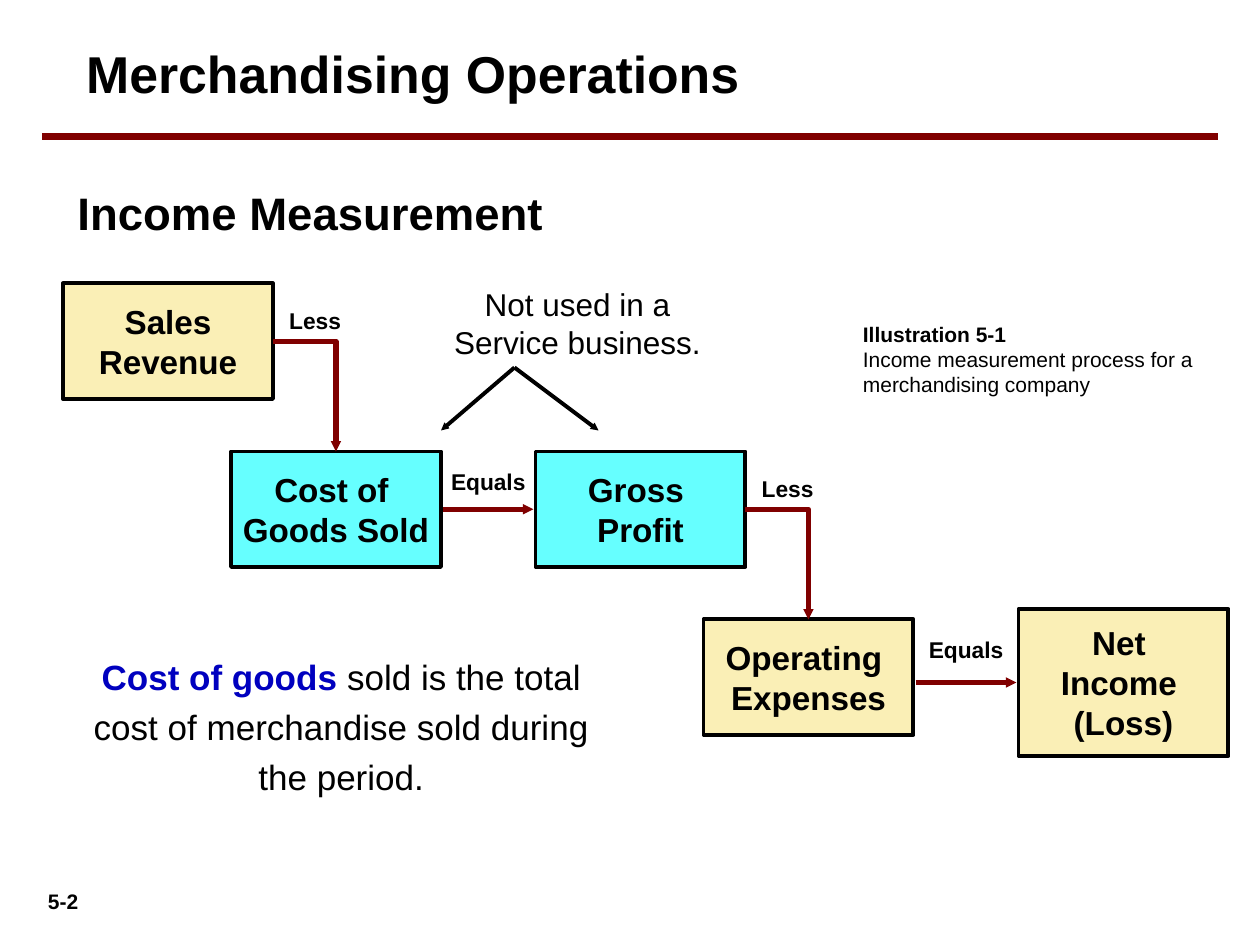
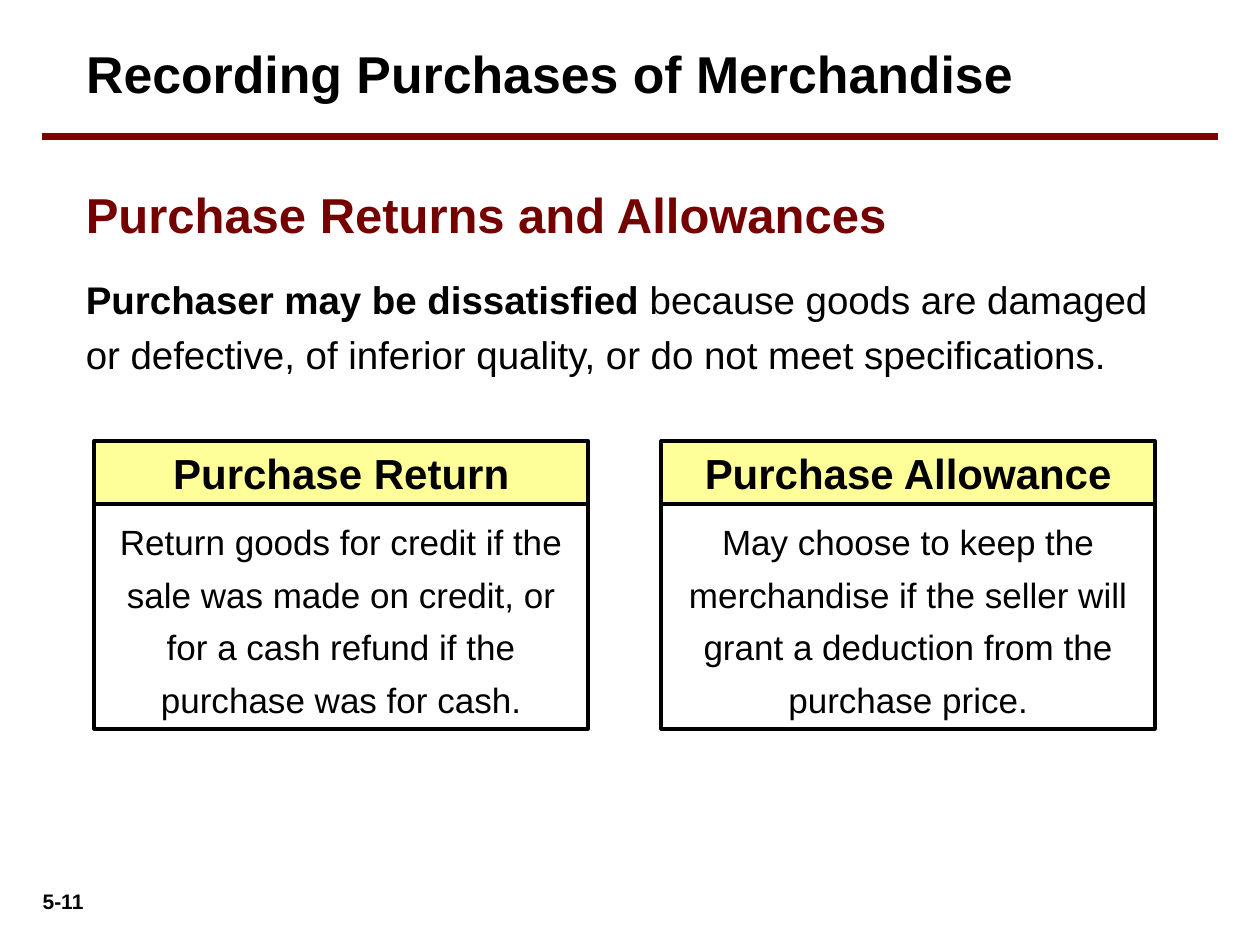
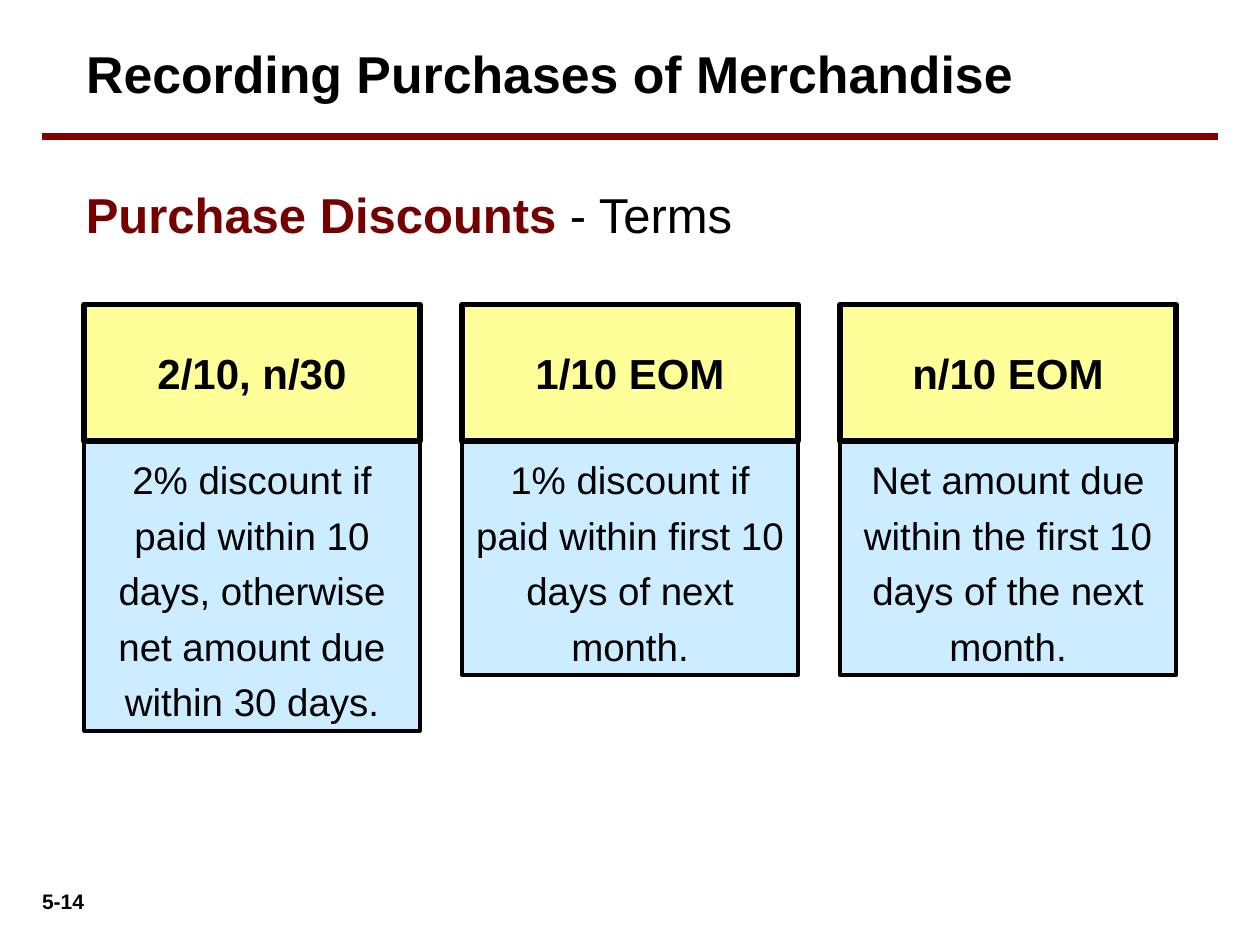
from lxml import etree
from pptx import Presentation
from pptx.dml.color import RGBColor
from pptx.enum.shapes import MSO_CONNECTOR, MSO_SHAPE
from pptx.enum.text import MSO_ANCHOR, MSO_AUTO_SIZE, PP_ALIGN
from pptx.oxml.ns import qn
from pptx.util import Inches, Pt

RECT = MSO_SHAPE.RECTANGLE
LINE, ELBOW = MSO_CONNECTOR.STRAIGHT, MSO_CONNECTOR.ELBOW
LEFT, CENTER = PP_ALIGN.LEFT, PP_ALIGN.CENTER
TOP, MIDDLE = MSO_ANCHOR.TOP, MSO_ANCHOR.MIDDLE
FIXED = MSO_AUTO_SIZE.NONE

COLORS = {
    "ink": "000000", "paper": "FFFFFF", "rule": "800000", "topic": "740000",
    "term": "0000BF", "cream": "FAEFB6", "aqua": "66FFFF",
    "yellow": "FFFF99", "sky": "CCECFF",
}
FONT = "Arial"
COLS, ROWS = 120, 90  # grid over the whole slide
WIDTH, HEIGHT = Inches(10), Inches(7.5)
TOP_SIDE, RIGHT_SIDE = 0, 3  # connection sites of a rectangle


def color(name):
    return RGBColor.from_string(COLORS[name])


def place(x, y):
    """Turn a grid point into slide lengths."""
    return round(WIDTH * x / COLS), round(HEIGHT * y / ROWS)


def area(x, y, w, h):
    return place(x, y) + place(w, h)


def run(text, bold=False, ink="ink"):
    return text, bold, ink


def write(shape, paras, size, align=LEFT, anchor=TOP, space=None, wrap=True):
    """Fill a shape with paragraphs, each a list of runs."""
    frame = shape.text_frame
    frame.auto_size = FIXED
    frame.word_wrap = wrap
    frame.vertical_anchor = anchor
    frame.margin_left = frame.margin_right = Inches(0.1)
    frame.margin_top = frame.margin_bottom = Inches(0.05)
    for i, runs in enumerate(paras):
        para = frame.add_paragraph() if i else frame.paragraphs[0]
        para.alignment = align
        if space:
            para.line_spacing = space
        for text, bold, ink in runs:
            part = para.add_run()
            part.text = text
            font = part.font
            font.name, font.size, font.bold = FONT, Pt(size), bold
            font.color.rgb = color(ink)


def label(slide, box, paras, size, **style):
    write(slide.shapes.add_textbox(*area(*box)), paras, size, **style)


def panel(slide, box, fill, paras, size, edge=2.25, **style):
    """Add an outlined rectangle with centred text."""
    shape = slide.shapes.add_shape(RECT, *area(*box))
    shape.shadow.inherit = False
    if fill:
        shape.fill.solid()
        shape.fill.fore_color.rgb = color(fill)
    else:
        shape.fill.background()
    shape.line.color.rgb = color("ink")
    shape.line.width = Pt(edge)
    write(shape, paras, size, align=CENTER, **style)
    return shape


def stroke(slide, start, end, ink, width, kind=LINE, head=True):
    line = slide.shapes.add_connector(kind, *place(*start), *place(*end))
    line.line.color.rgb = color(ink)
    line.line.width = Pt(width)
    if head:
        etree.SubElement(line.line._get_or_add_ln(), qn("a:tailEnd"),
                         type="triangle", w="sm", len="sm")
    etree.SubElement(line._element.spPr, qn("a:effectLst"))
    return line


def bend(slide, first, last):
    """Lead from the right of one box down onto the top of another."""
    line = stroke(slide, (0, 0), (1, 1), "rule", 3, ELBOW)
    line.begin_connect(first, RIGHT_SIDE)
    line.end_connect(last, TOP_SIDE)
    line._element.spPr.find(qn("a:prstGeom")).set("prst", "bentConnector2")


def start(deck, title, number):
    """Add a slide with its title, rule and page number."""
    slide = deck.slides.add_slide(deck.slide_layouts[5])
    head = slide.shapes.title
    head.left, head.top, head.width, head.height = area(7, 4, 100, 7.3)
    write(head, [[run(title, True)]], 29.6, space=0.9)
    stroke(slide, (4, 13), (116, 13), "rule", 4.5, head=False)
    label(slide, (1, 84, 10, 3.6), [[run(number, True)]], 12, align=CENTER)
    return slide


def topic(slide, *runs):
    label(slide, (7, 17, 90, 6.8), [runs], 28)


def income(deck):
    slide = start(deck, "Merchandising Operations", "5-2")
    label(slide, (6.2, 17, 74, 7), [[run("Income Measurement", True)]], 26)
    label(slide, (7, 61, 51, 15.6),
          [[run("Cost of goods ", True, "term"),
            run("sold is the total cost of merchandise sold during the period.")]],
          20, align=CENTER, space=1.2)
    label(slide, (40, 26.6, 30, 8.4),
          [[run("Not used in a Service business.")]], 18, align=CENTER)
    label(slide, (81, 30, 34, 8.4),
          [[run("Illustration 5-1", True)],
           [run("Income measurement process for a merchandising company")]], 12)
    for x in (42, 57):
        stroke(slide, (49, 35), (x, 41), "ink", 2.25)

    steps = [
        (6, 27, 11, "cream", ("Sales", "Revenue")),
        (22, 43, 11, "aqua", ("Cost of ", "Goods Sold")),
        (51, 43, 11, "aqua", ("Gross ", "Profit")),
        (67, 59, 11, "cream", ("Operating ", "Expenses")),
        (97, 58, 14, "cream", ("Net ", "Income ", "(Loss)")),
    ]
    sales, cost, gross, spent, _ = [
        panel(slide, (x, y, 20, h), fill, [[run(text, True)] for text in lines],
              19, anchor=MIDDLE, wrap=False)
        for x, y, h, fill, lines in steps]
    bend(slide, sales, cost)
    bend(slide, gross, spent)
    for x, y, end in ((42.2, 48.5, 50.8), (87.2, 65, 96.8)):
        stroke(slide, (x, y), (end, y), "rule", 3)
    for x, y, w, text in ((25, 28.6, 10, "Less"), (70, 44.6, 10, "Less"),
                          (41, 44, 11, "Equals"), (87, 60, 10, "Equals")):
        label(slide, (x, y, w, 3.8), [[run(text, True)]], 13, align=CENTER)


def returns(deck):
    slide = start(deck, "Recording Purchases of Merchandise", "5-11")
    topic(slide, run("Purchase Returns and Allowances", True, "topic"))
    label(slide, (7, 24.8, 107, 11.8),
          [[run("Purchaser may be dissatisfied", True),
            run(" because goods are damaged or defective, of inferior quality, "
                "or do not meet specifications.")]], 22, space=1.2)
    cards = [
        ("Purchase Return", "Return goods for credit if the sale was made on "
         "credit, or for a cash refund if the purchase was for cash."),
        ("Purchase Allowance", "May choose to keep the merchandise if the seller "
         "will grant a deduction from the purchase price."),
    ]
    for i, (name, text) in enumerate(cards):
        x = 9 + 54 * i
        panel(slide, (x, 48, 47, 21.4), None, [[run(text)]], 20, space=1.25)
        panel(slide, (x, 42, 47, 6), "yellow", [[run(name, True)]], 24)


def terms(deck):
    slide = start(deck, "Recording Purchases of Merchandise", "5-14")
    topic(slide, run("Purchase Discounts ", True, "topic"), run("- Terms"))
    cards = [
        ("2/10, n/30", 27.6, "2% discount if paid within 10 days, otherwise "
         "net amount due within 30 days."),
        ("1/10 EOM", 22.3, "1% discount if paid within first 10 days of next month."),
        ("n/10 EOM", 22.3, "Net amount due within the first 10 days of the next month."),
    ]
    for i, (name, h, text) in enumerate(cards):
        x = 8 + 36 * i
        panel(slide, (x, 42, 32, h), "sky", [[run(text)]], 22, space=1.2)
        panel(slide, (x, 29, 32, 13), "yellow", [[run(name, True)]], 24,
              edge=3, anchor=MIDDLE)


def main():
    deck = Presentation()
    deck.slide_width, deck.slide_height = WIDTH, HEIGHT
    for build in (income, returns, terms):
        build(deck)
    deck.save("out.pptx")


if __name__ == "__main__":
    main()
